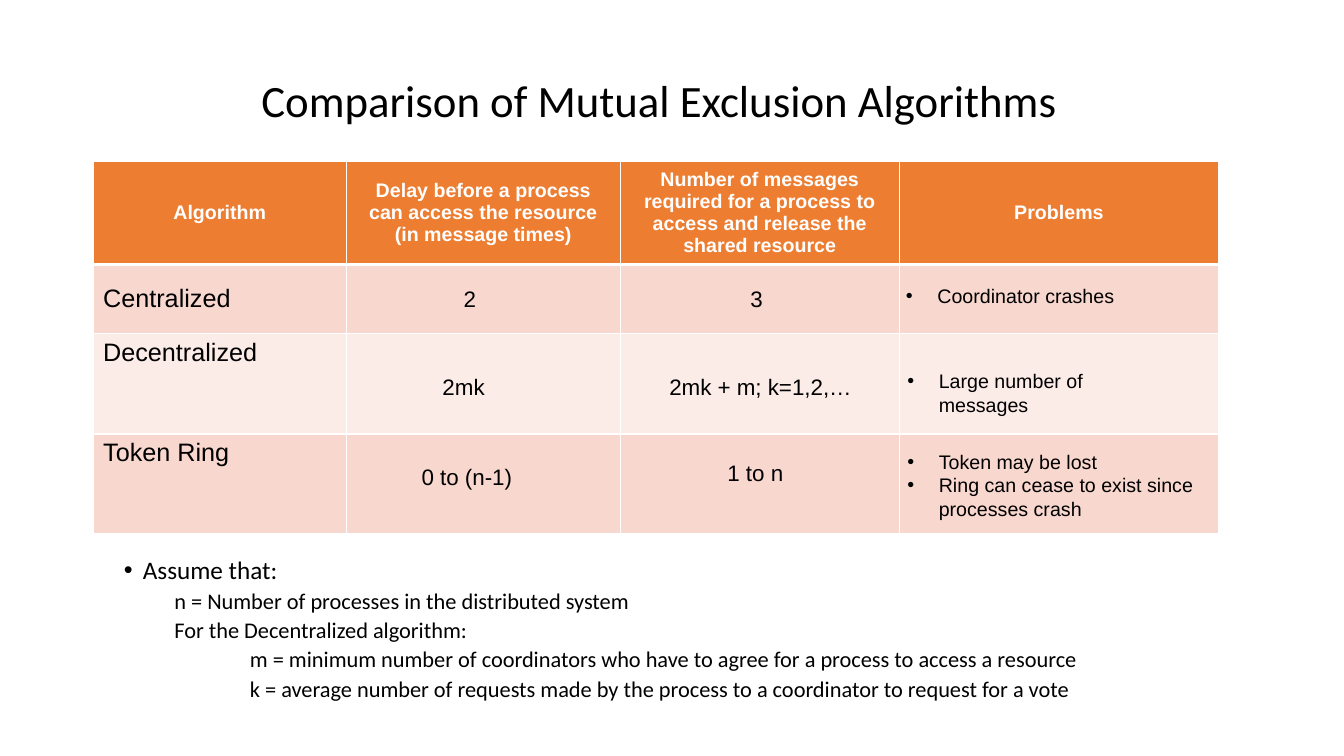
from lxml.etree import SubElement
from pptx import Presentation
from pptx.dml.color import RGBColor
from pptx.enum.text import MSO_ANCHOR, MSO_AUTO_SIZE, PP_ALIGN
from pptx.oxml.ns import qn
from pptx.util import Pt

# Content
TITLE = "Comparison of Mutual Exclusion Algorithms"
HEADERS = [
    "Algorithm",
    "Delay before a process can access the resource (in message times)",
    "Number of messages required for a process to access and release the shared resource",
    "Problems",
]
ALGORITHMS = [
    ("Centralized", MSO_ANCHOR.MIDDLE),
    ("Decentralized", MSO_ANCHOR.TOP),
    ("Token Ring", MSO_ANCHOR.TOP),
]
# Entries laid over the table: left, top, width, height, text
VALUES = [
    (324, 200, 24, 27, "2"),
    (529, 200, 30, 27, "3"),
    (309, 263, 50, 27, "2mk"),
    (471, 263, 152, 27, "2mk + m; k=1,2,…"),
    (294, 327.5, 84, 27, "0 to (n-1)"),
    (512.5, 324.5, 64, 27, "1 to n"),
]
# Left, top, width, height, bullet lines
PROBLEMS = [
    (640, 199.5, 174, 24, ["Coordinator crashes"]),
    (641, 260, 180, 41, ["Large number of messages"]),
    (641, 317.5, 226, 58, ["Token may be lost",
                           "Ring can cease to exist since processes crash"]),
]
# Level, text
ASSUMPTIONS = [
    (0, "Assume that:"),
    (1, "n = Number of processes in the distributed system"),
    (1, "For the Decentralized algorithm:"),
    (2, "m = minimum number of coordinators who have to agree for a process to access a resource"),
    (2, "k = average number of requests made by the process to a coordinator to request for a vote"),
]
# Size, space before, left margin, hanging indent for each level
LEVELS = [(18, 7.5, 13.5, 13.5), (16, 3.75, 36, 0), (16, 3.75, 90, 0)]

COLUMN_WIDTHS = [181, 195.5, 199.5, 228]
ROW_HEIGHTS = [73.5, 49.5, 71.5, 71.5]
BLACK, WHITE, ORANGE = "000000", "FFFFFF", "ED7D31"
BANDS = ["F8D7CE", "FCECE8"]


def color(value):
    return RGBColor.from_string(value)


def add_run(paragraph, text, size, font="Arial", fill=BLACK, bold=False):
    run = paragraph.add_run()
    run.text = text
    run.font.name = font
    run.font.size = Pt(size)
    run.font.bold = bold
    run.font.color.rgb = color(fill)


def set_indent(paragraph, margin, hanging):
    properties = paragraph._p.get_or_add_pPr()
    properties.set("marL", str(Pt(margin)))
    properties.set("indent", str(-Pt(hanging)))
    if hanging:
        SubElement(properties, qn("a:buFont")).set("typeface", "Arial")
        SubElement(properties, qn("a:buChar")).set("char", "•")


def add_text_box(left, top, width, height, auto_size=MSO_AUTO_SIZE.SHAPE_TO_FIT_TEXT):
    box = slide.shapes.add_textbox(Pt(left), Pt(top), Pt(width), Pt(height))
    box.text_frame.word_wrap = True
    box.text_frame.auto_size = auto_size
    return box.text_frame


def each_paragraph(frame, items):
    for index, item in enumerate(items):
        yield (frame.add_paragraph() if index else frame.paragraphs[0]), item


def set_borders(cell, bottom_width):
    properties = cell._tc.get_or_add_tcPr()
    edges = [("lnL", 1), ("lnR", 1), ("lnT", 1), ("lnB", bottom_width)]
    for position, (edge, width) in enumerate(edges):
        line = SubElement(properties, qn("a:" + edge), w=str(Pt(width)))
        fill = SubElement(line, qn("a:solidFill"))
        SubElement(fill, qn("a:srgbClr")).set("val", WHITE)
        properties.insert(position, line)


presentation = Presentation()
presentation.slide_width, presentation.slide_height = Pt(960), Pt(540)
slide = presentation.slides.add_slide(presentation.slide_layouts[5])

# Title
title = slide.shapes.title
title.left, title.top, title.width, title.height = Pt(138), Pt(21.5), Pt(666), Pt(104.5)
title.text_frame.auto_size = MSO_AUTO_SIZE.NONE
title.text_frame.vertical_anchor = MSO_ANCHOR.MIDDLE
paragraph = title.text_frame.paragraphs[0]
paragraph.alignment = PP_ALIGN.CENTER
paragraph.line_spacing = 0.9
add_run(paragraph, TITLE, 32, "Calibri")

# Assumptions below the table
frame = add_text_box(81.5, 394.5, 765, 116, MSO_AUTO_SIZE.NONE)
for paragraph, (level, text) in each_paragraph(frame, ASSUMPTIONS):
    size, space, margin, hanging = LEVELS[level]
    paragraph.line_spacing = 0.9
    paragraph.space_before = Pt(space)
    set_indent(paragraph, margin, hanging)
    add_run(paragraph, text, size, "Calibri")

# Comparison table
table = slide.shapes.add_table(
    len(ROW_HEIGHTS), len(COLUMN_WIDTHS), Pt(66.5), Pt(115.5),
    Pt(sum(COLUMN_WIDTHS)), Pt(sum(ROW_HEIGHTS))).table
for column, width in zip(table.columns, COLUMN_WIDTHS):
    column.width = Pt(width)
for index, (row, height) in enumerate(zip(table.rows, ROW_HEIGHTS)):
    row.height = Pt(height)
    for cell in row.cells:
        cell.fill.solid()
        cell.fill.fore_color.rgb = color(BANDS[(index - 1) % 2] if index else ORANGE)
        set_borders(cell, 1 if index else 3)
for index, header in enumerate(HEADERS):
    cell = table.cell(0, index)
    cell.vertical_anchor = MSO_ANCHOR.MIDDLE
    paragraph = cell.text_frame.paragraphs[0]
    paragraph.alignment = PP_ALIGN.CENTER
    add_run(paragraph, header, 14, fill=WHITE, bold=True)
for index, (algorithm, anchor) in enumerate(ALGORITHMS, 1):
    cell = table.cell(index, 0)
    cell.vertical_anchor = anchor
    add_run(cell.text_frame.paragraphs[0], algorithm, 18)

# Delay and message counts
for *place, text in VALUES:
    add_run(add_text_box(*place).paragraphs[0], text, 16)

# Problems
for *place, lines in PROBLEMS:
    for paragraph, text in each_paragraph(add_text_box(*place), lines):
        set_indent(paragraph, 22.5, 22.5)
        add_run(paragraph, text, 14)

presentation.save("out.pptx")
